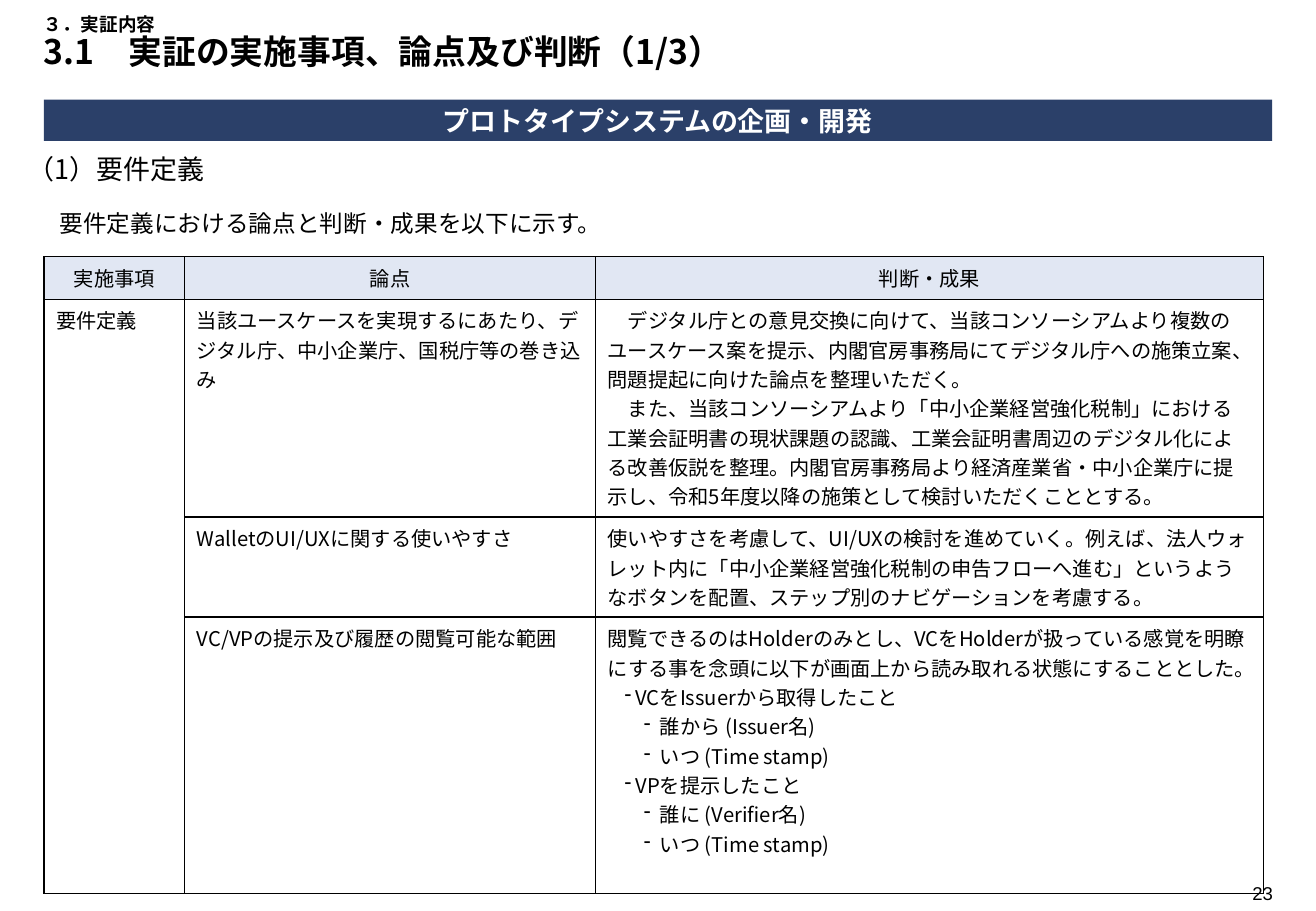
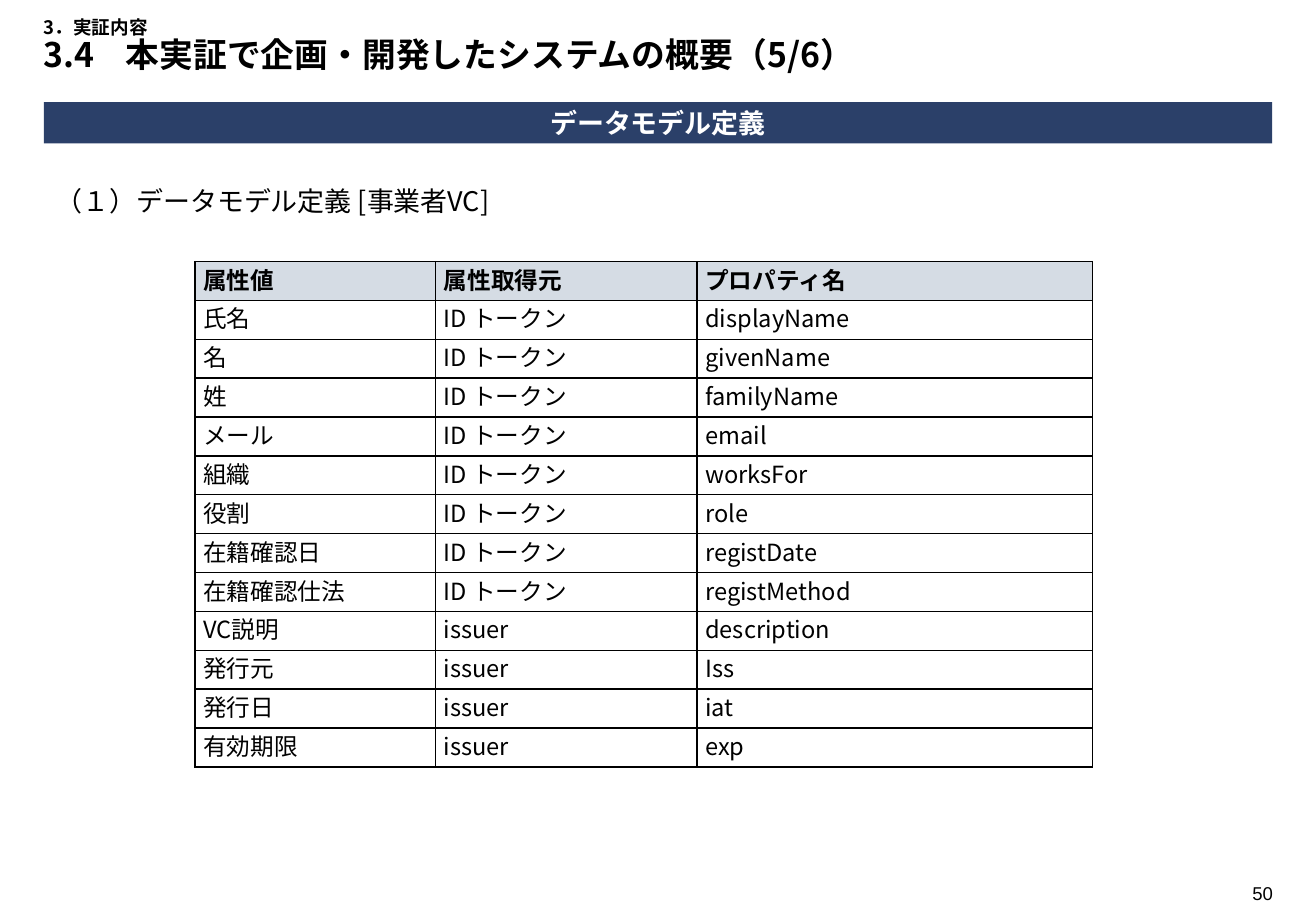
import itertools
from dataclasses import dataclass

import lxml.etree
import pptx
import pptx.dml.color
import pptx.enum.lang
import pptx.enum.shapes
import pptx.enum.text
import pptx.oxml.ns
import pptx.util

Pt = pptx.util.Pt
qn = pptx.oxml.ns.qn
ALIGN = pptx.enum.text.PP_ALIGN


@dataclass(frozen=True)
class Theme:
    ink: str = "000000"
    paper: str = "FFFFFF"
    band: str = "2B4069"
    topic_head: str = "E1E7F3"
    property_head: str = "D5DCE4"
    gothic: str = "Noto Sans CJK JP"
    latin: str = "Arial"
    serif: str = "Cambria"
    chapter_size: float = 11
    title_size: float = 20
    heading_size: float = 16
    lead_size: float = 14
    topic_size: float = 12
    number_size: float = 11
    margin: float = 26
    width: float = 728


class Deck:
    def __init__(self, theme):
        self.theme = theme
        self.presentation = pptx.Presentation()
        self.presentation.slide_width = Pt(780)
        self.presentation.slide_height = Pt(540)
        self.slide = None

    def style(self, paragraph, size, font, bold=False, color=None):
        for run in paragraph.runs:
            run.font.size = Pt(size)
            run.font.bold = bold
            run.font.name = font
            run.font.color.rgb = pptx.dml.color.RGBColor.from_string(color or self.theme.ink)
            run.font.language_id = pptx.enum.lang.MSO_LANGUAGE_ID.JAPANESE
            east_asian = lxml.etree.SubElement(run._r.get_or_add_rPr(), qn("a:ea"))
            east_asian.set("typeface", self.theme.gothic)

    def indent(self, paragraph, left, first, bullet=None):
        properties = paragraph._p.get_or_add_pPr()
        properties.set("marL", str(Pt(left)))
        properties.set("indent", str(Pt(first)))
        if bullet:
            lxml.etree.SubElement(properties, qn("a:buChar")).set("char", bullet)

    def text(self, text, left, top, width, height, size, font=None, align=ALIGN.LEFT, inset=0):
        frame = self.slide.shapes.add_textbox(Pt(left), Pt(top), Pt(width), Pt(height)).text_frame
        frame.word_wrap = True
        frame.margin_left = frame.margin_right = Pt(inset)
        frame.text = text
        for paragraph in frame.paragraphs:
            paragraph.alignment = align
            self.style(paragraph, size, font or self.theme.gothic)
        return frame

    def page(self, top, chapter, title, band, number):
        """Start a slide with its title, band and page number."""
        theme = self.theme
        self.slide = self.presentation.slides.add_slide(self.presentation.slide_layouts[6])

        # Chapter and title
        heading = self.text(f"{chapter}\n{title}", theme.margin, top, theme.width, 52, theme.title_size)
        for paragraph, size in zip(heading.paragraphs, (theme.chapter_size, theme.title_size)):
            tabs = lxml.etree.SubElement(paragraph._p.get_or_add_pPr(), qn("a:tabLst"))
            lxml.etree.SubElement(tabs, qn("a:tab"), pos=str(Pt(48.6)), algn="l")
            paragraph.line_spacing = 0.9
            for run in paragraph.runs:
                run.font.size = Pt(size)
                run.font.bold = True

        # Section band
        bar = self.slide.shapes.add_shape(
            pptx.enum.shapes.MSO_SHAPE.RECTANGLE,
            Pt(theme.margin), Pt(top + 53.3), Pt(theme.width), Pt(24.5))
        bar.shadow.inherit = False
        bar.fill.solid()
        bar.fill.fore_color.rgb = pptx.dml.color.RGBColor.from_string(theme.band)
        bar.line.fill.background()
        frame = bar.text_frame
        frame.margin_left = frame.margin_right = frame.margin_top = frame.margin_bottom = Pt(3)
        frame.vertical_anchor = pptx.enum.text.MSO_ANCHOR.MIDDLE
        frame.text = band
        frame.paragraphs[0].alignment = ALIGN.CENTER
        self.style(frame.paragraphs[0], theme.heading_size, theme.latin, True, theme.paper)

        # Page number
        self.text(number, 720, 519, 34.5, 21, theme.number_size, theme.latin, ALIGN.RIGHT)

    def table(self, left, top, columns, rows, head_fill):
        """Add an empty ruled table with a filled head row."""
        table = self.slide.shapes.add_table(
            len(rows), len(columns), Pt(left), Pt(top), Pt(sum(columns)), Pt(sum(rows))).table
        table.first_row = table.horz_banding = False
        for column, width in zip(table.columns, columns):
            column.width = Pt(width)
        for index, height in enumerate(rows):
            table.rows[index].height = Pt(height)
            for cell in table.rows[index].cells:
                if index == 0:
                    cell.fill.solid()
                    cell.fill.fore_color.rgb = pptx.dml.color.RGBColor.from_string(head_fill)
                else:
                    cell.fill.background()
                self.rule(cell)
        return table

    def rule(self, cell):
        properties = cell._tc.get_or_add_tcPr()
        for position, side in enumerate(("a:lnL", "a:lnR", "a:lnT", "a:lnB")):
            line = lxml.etree.Element(qn(side), w=str(Pt(1)))
            fill = lxml.etree.SubElement(line, qn("a:solidFill"))
            lxml.etree.SubElement(fill, qn("a:srgbClr"), val=self.theme.ink)
            properties.insert(position, line)

    def topic_cell(self, cell, lines, font, align=ALIGN.LEFT):
        """Fill a cell from (level, text) lines; level None is an indented sentence."""
        cell.text_frame.text = "\n".join(text for _, text in lines)
        for paragraph, (level, _) in zip(cell.text_frame.paragraphs, lines):
            if level is None:
                self.indent(paragraph, 0, self.theme.topic_size)
            elif level:
                self.indent(paragraph, *((16.5, -6.5), (31, -9.5))[level - 1], bullet="-")
            paragraph.alignment = align
            self.style(paragraph, self.theme.topic_size, font)

    def property_cell(self, cell, text, bold):
        """Fill a cell, giving Latin and Japanese stretches their own fonts."""
        cell.margin_left = cell.margin_right = Pt(5)
        cell.margin_top = cell.margin_bottom = 0
        paragraph = cell.text_frame.paragraphs[0]
        for is_latin, letters in itertools.groupby(text, str.isascii):
            paragraph.add_run().text = "".join(letters)
            paragraph.runs[-1].font.name = self.theme.gothic if is_latin else self.theme.serif
        fonts = [run.font.name for run in paragraph.runs]
        self.style(paragraph, self.theme.lead_size, self.theme.serif, bold)
        for run, font in zip(paragraph.runs, fonts):
            run.font.name = font


TOPIC_HEAD = ("実施事項", "論点", "判断・成果")
TOPICS = [
    ("当該ユースケースを実現するにあたり、デジタル庁、中小企業庁、国税庁等の巻き込み", [
        (None, "デジタル庁との意見交換に向けて、当該コンソーシアムより複数のユースケース案を提示、"
               "内閣官房事務局にてデジタル庁への施策立案、問題提起に向けた論点を整理いただく。"),
        (None, "また、当該コンソーシアムより「中小企業経営強化税制」における工業会証明書の現状課題の認識、"
               "工業会証明書周辺のデジタル化による改善仮説を整理。内閣官房事務局より経済産業省・中小企業庁に提示し、"
               "令和5年度以降の施策として検討いただくこととする。"),
    ]),
    ("WalletのUI/UXに関する使いやすさ", [
        (0, "使いやすさを考慮して、UI/UXの検討を進めていく。例えば、法人ウォレット内に"
            "「中小企業経営強化税制の申告フローへ進む」というようなボタンを配置、"
            "ステップ別のナビゲーションを考慮する。"),
    ]),
    ("VC/VPの提示及び履歴の閲覧可能な範囲", [
        (0, "閲覧できるのはHolderのみとし、VCをHolderが扱っている感覚を明瞭にする事を念頭に"
            "以下が画面上から読み取れる状態にすることとした。"),
        (1, "VCをIssuerから取得したこと"),
        (2, "誰から (Issuer名)"),
        (2, "いつ (Time stamp)"),
        (1, "VPを提示したこと"),
        (2, "誰に (Verifier名)"),
        (2, "いつ (Time stamp)"),
    ]),
]

TOKEN = "ID トークン"
PROPERTIES = [
    ("属性値", "属性取得元", "プロパティ名"),
    ("氏名", TOKEN, "displayName"),
    ("名", TOKEN, "givenName"),
    ("姓", TOKEN, "familyName"),
    ("メール", TOKEN, "email"),
    ("組織", TOKEN, "worksFor"),
    ("役割", TOKEN, "role"),
    ("在籍確認日", TOKEN, "registDate"),
    ("在籍確認仕法", TOKEN, "registMethod"),
    ("VC説明", "issuer", "description"),
    ("発行元", "issuer", "Iss"),
    ("発行日", "issuer", "iat"),
    ("有効期限", "issuer", "exp"),
]


def requirements_slide(deck):
    theme = deck.theme
    deck.page(5.8, "３．実証内容", "3.1\u3000実証の実施事項、論点及び判断（1/3）".replace("\u3000", "　"),
              "プロトタイプシステムの企画・開発", "23")
    deck.text("（1）要件定義", 9.4, 87, 390, 26.6, theme.heading_size, inset=7.2)
    deck.text("要件定義における論点と判断・成果を以下に示す。", 35.3, 120.2, theme.width, 24.5, theme.lead_size)

    # Topics and decisions
    table = deck.table(theme.margin, 152.2, (83.5, 243.5, 396), (25.2, 129.2, 59.3, 163.8), theme.topic_head)
    table.cell(1, 0).merge(table.cell(3, 0))
    for column, label in enumerate(TOPIC_HEAD):
        deck.topic_cell(table.cell(0, column), [(0, label)], theme.latin, ALIGN.CENTER)
    deck.topic_cell(table.cell(1, 0), [(0, "要件定義")], theme.latin)
    for row, (topic, decision) in enumerate(TOPICS, 1):
        deck.topic_cell(table.cell(row, 1), [(0, topic)], theme.gothic)
        deck.topic_cell(table.cell(row, 2), decision, theme.gothic)


def data_model_slide(deck):
    theme = deck.theme
    deck.page(7.2, "3．実証内容", "3.4\t本実証で企画・開発したシステムの概要（5/6）", "データモデル定義", "50")
    deck.text("（１）データモデル定義 [事業者VC]", theme.margin, 105.8, 390, 26.6, theme.heading_size, inset=7.2)

    # Attributes and property names
    table = deck.table(115.5, 155, (142.5, 155, 234.5), [23.07] * len(PROPERTIES), theme.property_head)
    for row, values in enumerate(PROPERTIES):
        for column, value in enumerate(values):
            deck.property_cell(table.cell(row, column), value, row == 0)


def main():
    deck = Deck(Theme())
    requirements_slide(deck)
    data_model_slide(deck)
    deck.presentation.save("out.pptx")


if __name__ == "__main__":
    main()
